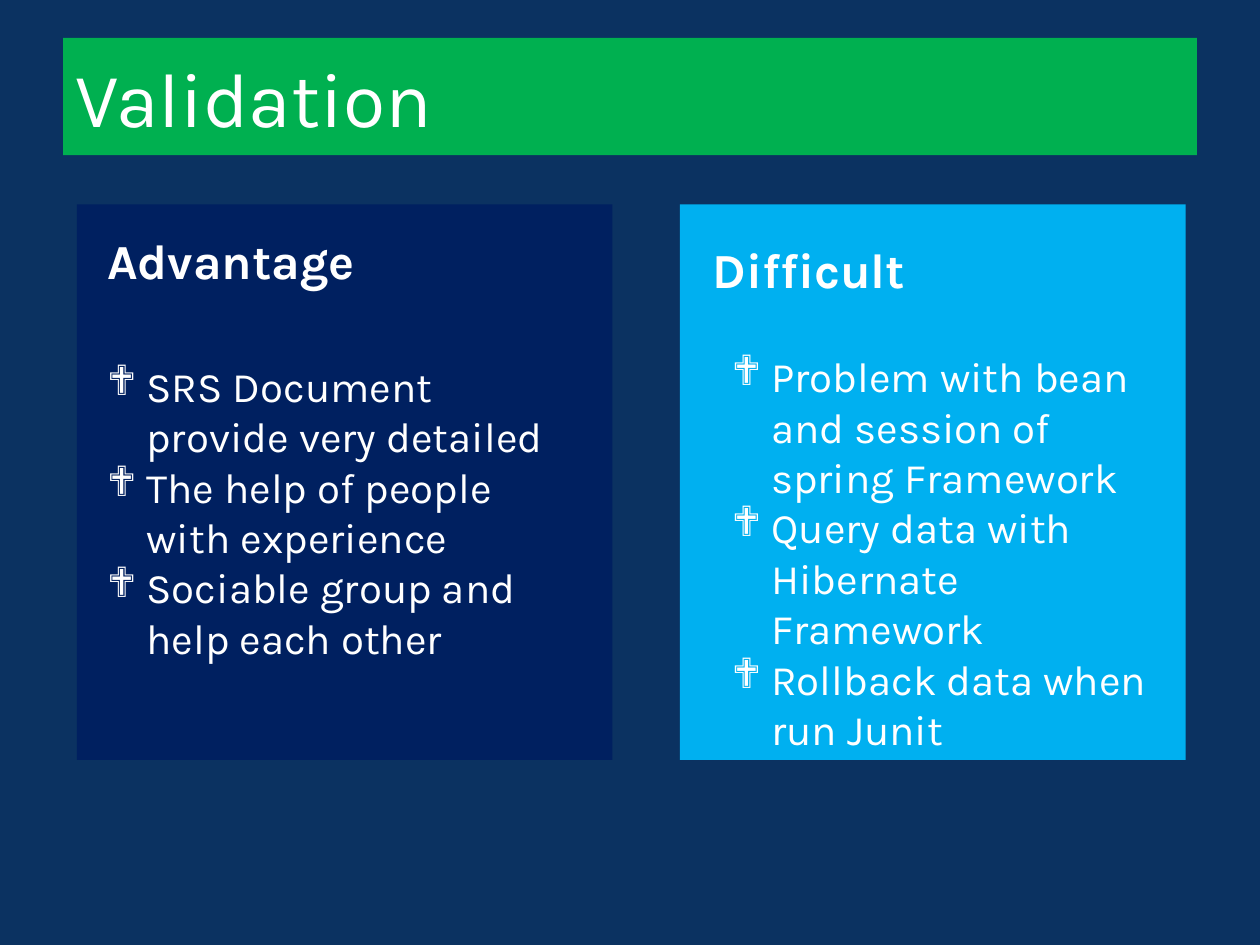
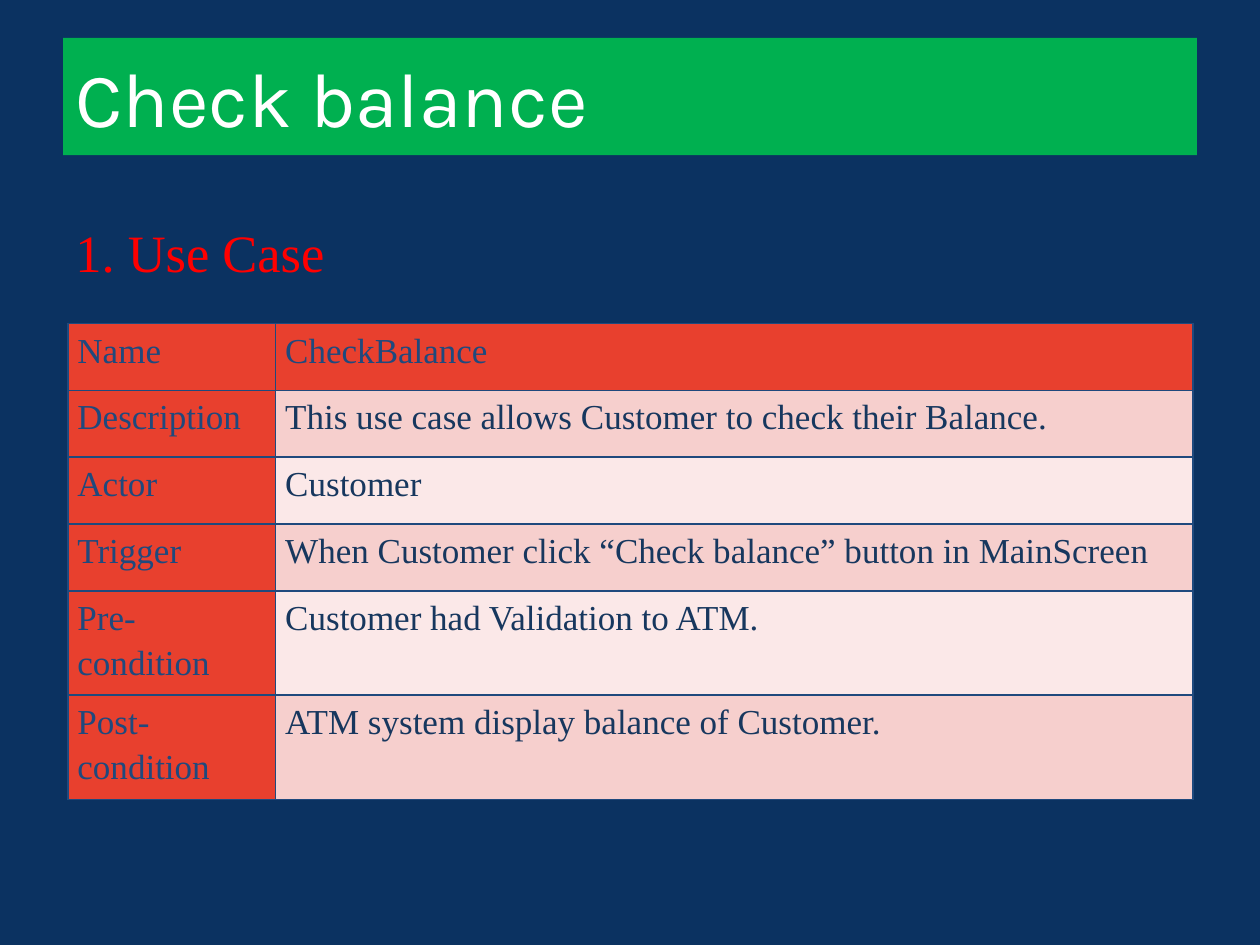
from lxml import etree
from pptx import Presentation
from pptx.dml.color import RGBColor
from pptx.enum import shapes, text
from pptx.oxml import ns
from pptx.util import Pt

NIGHT = RGBColor(0x0B, 0x32, 0x61)
GREEN = RGBColor(0x00, 0xB0, 0x50)
NAVY = RGBColor(0x00, 0x20, 0x60)
SKY = RGBColor(0x00, 0xB0, 0xF0)
WHITE = RGBColor(0xFF, 0xFF, 0xFF)
RED = RGBColor(0xFF, 0x00, 0x00)
BRICK = RGBColor(0xE8, 0x40, 0x2E)
ROSE = RGBColor(0xF6, 0xCF, 0xCD)
BLUSH = RGBColor(0xFB, 0xE8, 0xE8)
LABEL_BLUE = RGBColor(0x1F, 0x49, 0x7D)
VALUE_BLUE = RGBColor(0x17, 0x37, 0x5E)

SANS, SERIF = "Karla", "Times New Roman"
COMPARISON, TITLE_ONLY = 4, 5
BULLET_INDENT = Pt(22.5)

ADVANTAGES = ["SRS Document provide very detailed",
              "The help of people with experience",
              "Sociable group and help each other"]
DIFFICULTIES = ["Problem with bean and session of spring Framework",
                "Query data with Hibernate Framework",
                "Rollback data when run Junit"]
USE_CASE = [("Name", "CheckBalance", 38.25),
            ("Description", "This use case allows Customer to check their Balance.", 38.25),
            ("Actor", "Customer", 38.25),
            ("Trigger", "When Customer click “Check balance” button in MainScreen", 38.25),
            ("Pre-condition", "Customer had Validation to ATM.", 59.5),
            ("Post-condition", "ATM system display balance of Customer.", 59.5)]


def place(shape, left, top, width, height):
    shape.left, shape.top = Pt(left), Pt(top)
    shape.width, shape.height = Pt(width), Pt(height)


def write(frame, lines, font, size, color, bold=False, spacing=1.0):
    """Fill a text frame with one left-aligned paragraph per line."""
    frame.text = "\n".join(lines)
    frame.word_wrap = True
    for paragraph in frame.paragraphs:
        paragraph.alignment = text.PP_ALIGN.LEFT
        paragraph.space_before = Pt(0)
        paragraph.line_spacing = spacing
        for run in paragraph.runs:
            run.font.name, run.font.size, run.font.bold = font, Pt(size), bold
            run.font.color.rgb = color


def fill_placeholder(holder, box, lines, size, bold=False, anchor=text.MSO_ANCHOR.TOP):
    place(holder, *box)
    write(holder.text_frame, lines, SANS, size, WHITE, bold)
    holder.text_frame.auto_size = text.MSO_AUTO_SIZE.NONE
    holder.text_frame.vertical_anchor = anchor


def set_bullet(paragraph, char=None):
    """Give the paragraph a hanging bullet, or none without a character."""
    props = paragraph._p.get_or_add_pPr()
    indent = BULLET_INDENT if char else 0
    props.set("marL", str(indent))
    props.set("indent", str(-indent))
    if char:
        etree.SubElement(props, ns.qn("a:buFont"), typeface="Wingdings")
        etree.SubElement(props, ns.qn("a:buChar"), char=char)
    else:
        etree.SubElement(props, ns.qn("a:buNone"))


def add_titled_slide(prs, layout, title):
    slide = prs.slides.add_slide(prs.slide_layouts[layout])
    band = slide.shapes.title
    fill_placeholder(band, (36, 21.6, 648, 67), [title], 44, anchor=text.MSO_ANCHOR.MIDDLE)
    band.fill.solid()
    band.fill.fore_color.rgb = GREEN
    return slide


def add_panel(slide, box, color, heading, heading_at, points, points_box):
    """Draw a coloured panel behind its heading and list, both placed relative to it."""
    left, top, width, height = box
    panel = slide.shapes.add_shape(shapes.MSO_SHAPE.RECTANGLE, 0, 0, 0, 0)
    place(panel, *box)
    panel.shadow.inherit = False
    panel.fill.solid()
    panel.fill.fore_color.rgb = color
    panel.line.fill.background()

    heading_holder, heading_text = heading
    heading_holder.element.addprevious(panel.element)
    dx, dy = heading_at
    fill_placeholder(heading_holder, (left + dx, top + dy, 221, 41), [heading_text], 28, True)
    set_bullet(heading_holder.text_frame.paragraphs[0])

    points_holder, lines = points
    dx, dy, points_width = points_box
    fill_placeholder(points_holder, (left + dx, top + dy, points_width, 211), lines, 24)
    for paragraph in points_holder.text_frame.paragraphs:
        set_bullet(paragraph, "❖")


def add_validation_slide(prs):
    slide = add_titled_slide(prs, COMPARISON, "Validation")
    holders = {h.placeholder_format.idx: h for h in slide.placeholders}
    add_panel(slide, (44, 116.75, 306, 317.5), NAVY,
              (holders[1], "Advantage"), (10, 11.5),
              (holders[2], ADVANTAGES), (10, 85.5, 284))
    add_panel(slide, (388.5, 116.75, 289, 317.5), SKY,
              (holders[3], "Difficult"), (11.5, 16.5),
              (holders[4], DIFFICULTIES), (22.5, 80, 255))


def outline_cell(cell, color, width):
    props = cell._tc.get_or_add_tcPr()
    for position, side in enumerate(("lnL", "lnR", "lnT", "lnB")):
        line = etree.Element(ns.qn(f"a:{side}"), w=str(Pt(width)))
        solid = etree.SubElement(line, ns.qn("a:solidFill"))
        etree.SubElement(solid, ns.qn("a:srgbClr"), val=str(color))
        props.insert(position, line)


def add_use_case_table(slide, left, top, column_widths):
    height = sum(row_height for *_, row_height in USE_CASE)
    table = slide.shapes.add_table(len(USE_CASE), 2, Pt(left), Pt(top),
                                   Pt(sum(column_widths)), Pt(height)).table
    table.first_row = table.horz_banding = False
    for column, width in zip(table.columns, column_widths):
        column.width = Pt(width)
    for r, (label, value, row_height) in enumerate(USE_CASE):
        table.rows[r].height = Pt(row_height)
        for c, content in enumerate((label, value)):
            cell = table.cell(r, c)
            is_header = r == 0 or c == 0
            write(cell.text_frame, [content], SERIF, 20,
                  LABEL_BLUE if is_header else VALUE_BLUE, spacing=1.15)
            cell.margin_left = cell.margin_right = Pt(5.5)
            cell.margin_top = cell.margin_bottom = Pt(1.5)
            cell.fill.solid()
            cell.fill.fore_color.rgb = BRICK if is_header else (BLUSH, ROSE)[r % 2]
            outline_cell(cell, LABEL_BLUE, 1)


def add_check_balance_slide(prs):
    slide = add_titled_slide(prs, TITLE_ONLY, "Check balance")
    add_use_case_table(slide, 38.75, 184.75, (118.75, 524.25))
    section = slide.shapes.add_textbox(Pt(36), Pt(122.4), Pt(260.5), Pt(44))
    write(section.text_frame, ["1. Use Case"], SERIF, 30, RED)


def main():
    prs = Presentation()
    prs.slide_width, prs.slide_height = Pt(720), Pt(540)
    backdrop = prs.slide_master.background.fill
    backdrop.solid()
    backdrop.fore_color.rgb = NIGHT
    add_validation_slide(prs)
    add_check_balance_slide(prs)
    prs.save("out.pptx")


if __name__ == "__main__":
    main()
